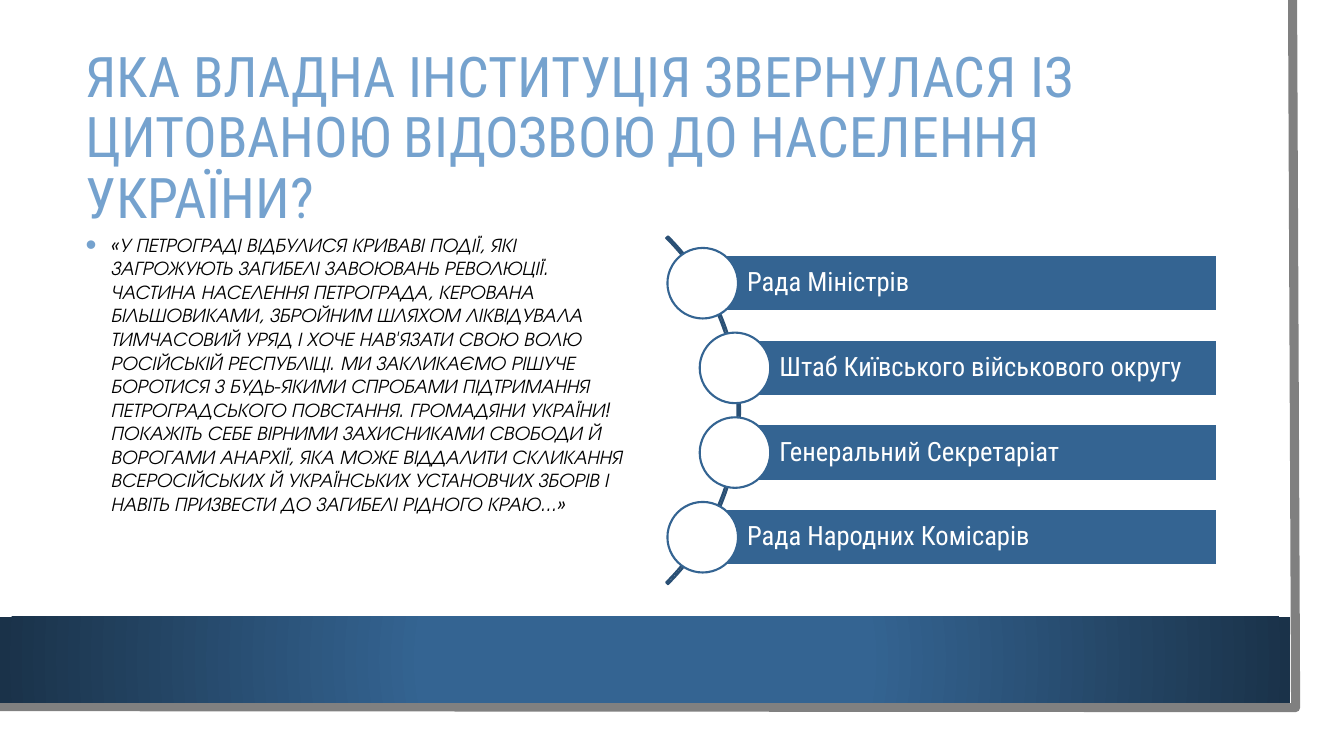
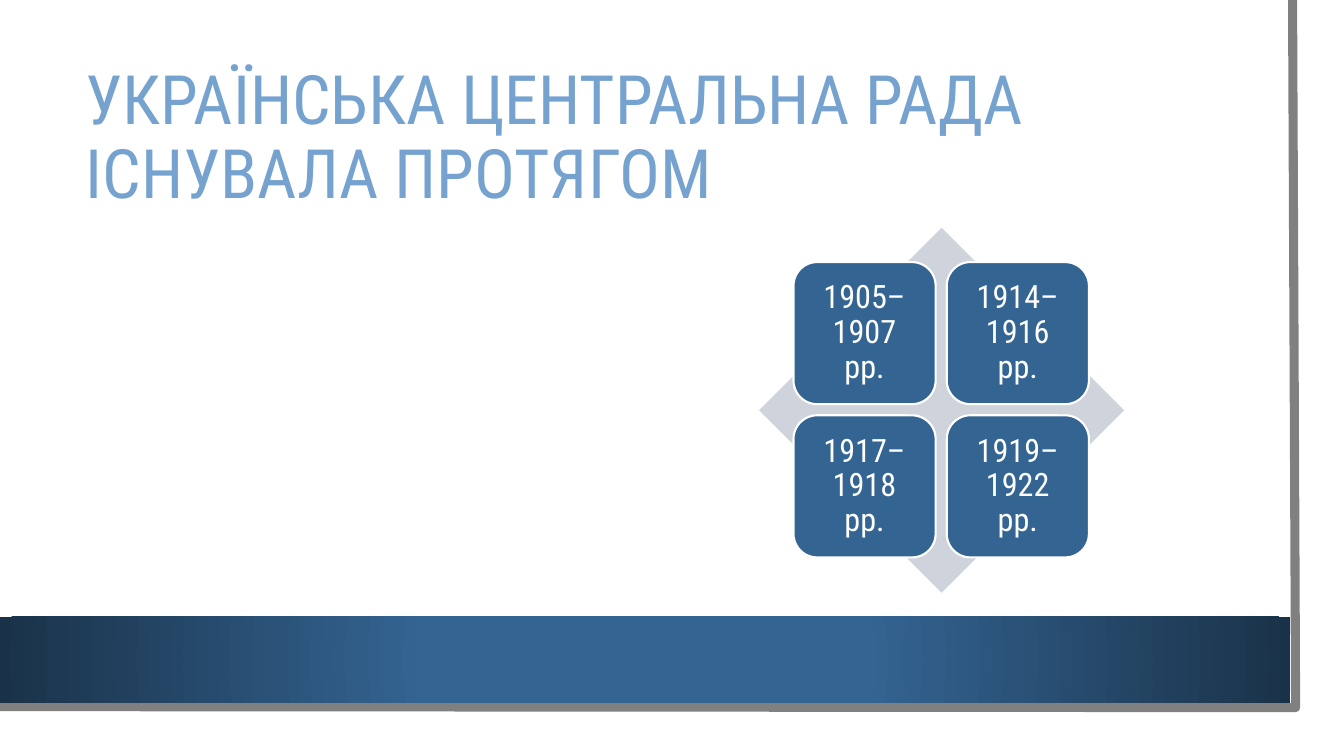
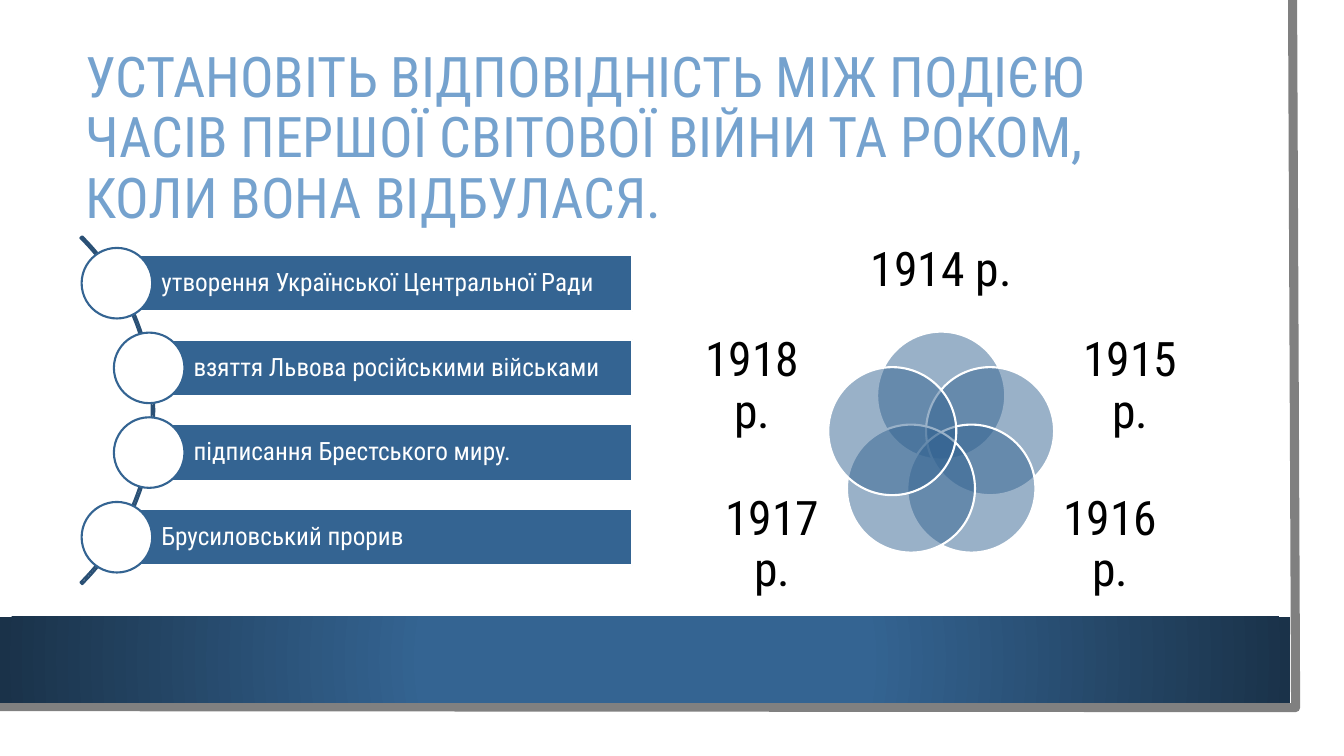
import math
import pptx
import pptx.util
import pptx.dml.color
import pptx.enum.shapes
import pptx.enum.text
import pptx.oxml.ns
from lxml import etree

# Theme
PX = 9144
THEME = dict(
    size=(1333, 750), font="Roboto Condensed", quote_font="TeX Gyre Adventor",
    white="FFFFFF", black="000000", blue="346492", navy="1A3249",
    arc="2A5075", sky="75A2CE", pale="CED3DC", grey="808080",
    edge=1.5, frame=6.5, quote=14, tile=23, year=34,
)

# Content
COUNCIL = dict(
    title="ЯКА ВЛАДНА ІНСТИТУЦІЯ ЗВЕРНУЛАСЯ ІЗ ЦИТОВАНОЮ ВІДОЗВОЮ ДО НАСЕЛЕННЯ УКРАЇНИ?",
    size=40,
    quote="«У ПЕТРОГРАДІ ВІДБУЛИСЯ КРИВАВІ ПОДІЇ, ЯКІ ЗАГРОЖУЮТЬ ЗАГИБЕЛІ ЗАВОЮВАНЬ "
          "РЕВОЛЮЦІЇ. ЧАСТИНА НАСЕЛЕННЯ ПЕТРОГРАДА, КЕРОВАНА БІЛЬШОВИКАМИ, ЗБРОЙНИМ "
          "ШЛЯХОМ ЛІКВІДУВАЛА ТИМЧАСОВИЙ УРЯД І ХОЧЕ НАВ'ЯЗАТИ СВОЮ ВОЛЮ РОСІЙСЬКІЙ "
          "РЕСПУБЛІЦІ. МИ ЗАКЛИКАЄМО РІШУЧЕ БОРОТИСЯ З БУДЬ-ЯКИМИ СПРОБАМИ ПІДТРИМАННЯ "
          "ПЕТРОГРАДСЬКОГО ПОВСТАННЯ. ГРОМАДЯНИ УКРАЇНИ! ПОКАЖІТЬ СЕБЕ ВІРНИМИ "
          "ЗАХИСНИКАМИ СВОБОДИ Й ВОРОГАМИ АНАРХІЇ, ЯКА МОЖЕ ВІДДАЛИТИ СКЛИКАННЯ "
          "ВСЕРОСІЙСЬКИХ Й УКРАЇНСЬКИХ УСТАНОВЧИХ ЗБОРІВ І НАВІТЬ ПРИЗВЕСТИ ДО ЗАГИБЕЛІ "
          "РІДНОГО КРАЮ...»",
    rows=["Рада Міністрів", "Штаб Київського військового округу",
          "Генеральний Секретаріат", "Рада Народних Комісарів"],
)
PERIOD = dict(
    title="УКРАЇНСЬКА ЦЕНТРАЛЬНА РАДА ІСНУВАЛА ПРОТЯГОМ",
    size=48.6,
    tiles=["1905–1907 рр.", "1914–1916 рр.", "1917–1918 рр.", "1919–1922 рр."],
)
MATCH = dict(
    title="УСТАНОВІТЬ ВІДПОВІДНІСТЬ МІЖ ПОДІЄЮ ЧАСІВ ПЕРШОЇ СВІТОВОЇ ВІЙНИ ТА РОКОМ, "
          "КОЛИ ВОНА ВІДБУЛАСЯ.",
    size=40,
    rows=["утворення Української Центральної Ради", "взяття Львова російськими військами",
          "підписання Брестського миру.", "Брусиловський прорив"],
    years=[("1914 р.", (860, 226, 147, 85)), ("1915 р.", (1055, 338, 132, 92)),
           ("1916 р.", (1035, 495, 132, 92)), ("1917 р.", (700, 495, 132, 92)),
           ("1918 р.", (680, 338, 132, 92))],
)

SHAPE = pptx.enum.shapes.MSO_SHAPE
ALIGN = pptx.enum.text.PP_ALIGN
ANCHOR = pptx.enum.text.MSO_ANCHOR
qn = pptx.oxml.ns.qn


def emu(*sizes):
    return [round(size * PX) for size in sizes]


def rgb(name):
    return pptx.dml.color.RGBColor.from_string(THEME[name])


def node(root, tag, **attrs):
    return etree.SubElement(root, qn(tag), {k: str(v) for k, v in attrs.items()})


# Building blocks
def paint(shape, fill=None, line=None, width=THEME["edge"]):
    shape.shadow.inherit = False
    if fill:
        shape.fill.solid()
        shape.fill.fore_color.rgb = rgb(fill)
    else:
        shape.fill.background()
    if line:
        shape.line.color.rgb = rgb(line)
        shape.line.width = pptx.util.Pt(width)
    else:
        shape.line.fill.background()
    return shape


def add(slide, kind, box, fill=None, line=None):
    return paint(slide.shapes.add_shape(kind, *emu(*box)), fill, line)


def write(shape, text, size, color, align=ALIGN.LEFT, pads=(10, 5, 10, 5),
          anchor=ANCHOR.MIDDLE, font=THEME["font"], space=0.9):
    frame = shape.text_frame
    frame.word_wrap = True
    frame.vertical_anchor = anchor
    (frame.margin_left, frame.margin_top,
     frame.margin_right, frame.margin_bottom) = emu(*pads)
    frame.text = text
    para = frame.paragraphs[0]
    para.alignment = align
    para.line_spacing = space
    face = para.runs[0].font
    face.name, face.size = font, pptx.util.Pt(size)
    face.color.rgb = rgb(color)
    return para


def label(slide, box, *args, **opts):
    return write(slide.shapes.add_textbox(*emu(*box)), *args, **opts)


def glow(shape):
    old = shape.fill._xPr.find(qn("a:noFill"))
    grad = etree.Element(qn("a:gradFill"), rotWithShape="1")
    stops = node(grad, "a:gsLst")
    for pos, name in ((34, "blue"), (100, "navy")):
        node(node(stops, "a:gs", pos=pos * 1000), "a:srgbClr", val=THEME[name])
    node(node(grad, "a:path", path="circle"), "a:fillToRect",
         l=50000, t=50000, r=50000, b=50000)
    old.getparent().replace(old, grad)


def page(deck, data):
    slide = deck.slides.add_slide(deck.slide_layouts[6])
    # Frame edge, band and title
    edge = slide.shapes.build_freeform(1282, 0, scale=PX)
    edge.add_line_segments([(1285, 702), (-3, 701)], close=False)
    paint(edge.convert_to_shape(), line="grey", width=THEME["frame"])
    glow(add(slide, SHAPE.RECTANGLE, (0, 612, 1280, 85)))
    label(slide, (75, 75, 1137, 127), data["title"], data["size"], "sky")
    return slide


# Diagrams
def curve(slide, rows, left, right, size):
    arc = add(slide, SHAPE.BLOCK_ARC, (left - 416, 163, 488, 488), line="arc")
    for i, value in enumerate((189, 27, 0.005)):
        arc.adjustments[i] = value
    for i, text in enumerate(rows):
        x = left + (32 if 0 < i < len(rows) - 1 else 0)
        y = 253 + 84 * i
        bar = add(slide, SHAPE.RECTANGLE, (x + 35, y, right - x - 35, 56), "blue", "white")
        write(bar, text, size, "white", pads=(44, 5, 5, 5))
        add(slide, SHAPE.OVAL, (x, y - 7, 70, 70), "white", "blue")


def matrix(slide, tiles):
    add(slide, SHAPE.DIAMOND, (753, 226, 362, 362), "pale")
    for i, text in enumerate(tiles):
        box = (787 + 152 * (i % 2), 260 + 152 * (i // 2), 141, 141)
        tile = add(slide, SHAPE.ROUNDED_RECTANGLE, box, "blue", "white")
        write(tile, text, THEME["tile"], "white", ALIGN.CENTER, (10,) * 4)


def venn(slide, years):
    for i, (text, box) in enumerate(years):
        turn = math.tau * i / len(years)
        x, y = 870 + 51 * math.sin(turn), 380 - 51 * math.cos(turn)
        ring = add(slide, SHAPE.OVAL, (x, y, 127, 127), "blue", "white")
        tint = ring.fill._xPr.find(qn("a:solidFill"))[0]
        node(tint, "a:alpha", val=50000)
        label(slide, box, text, THEME["year"], "black", ALIGN.CENTER, (0,) * 4)


def quote(slide, text):
    para = label(slide, (75, 226, 557, 362), text, THEME["quote"], "black",
                 anchor=ANCHOR.TOP, font=THEME["quote_font"], space=1.0)
    props = para._p.get_or_add_pPr()
    props.set("marL", str(25 * PX))
    props.set("indent", str(-25 * PX))
    node(node(props, "a:buClr"), "a:srgbClr", val=THEME["sky"])
    node(props, "a:buSzPct", val=160000)
    node(props, "a:buFont", typeface="Arial")
    node(props, "a:buChar", char="•")
    para.runs[0].font.italic = True


def main():
    deck = pptx.Presentation()
    deck.slide_width, deck.slide_height = emu(*THEME["size"])

    slide = page(deck, COUNCIL)
    quote(slide, COUNCIL["quote"])
    curve(slide, COUNCIL["rows"], 662, 1207, 19)

    slide = page(deck, PERIOD)
    matrix(slide, PERIOD["tiles"])

    slide = page(deck, MATCH)
    curve(slide, MATCH["rows"], 81, 627, 18)
    venn(slide, MATCH["years"])

    deck.save("out.pptx")


if __name__ == "__main__":
    main()
